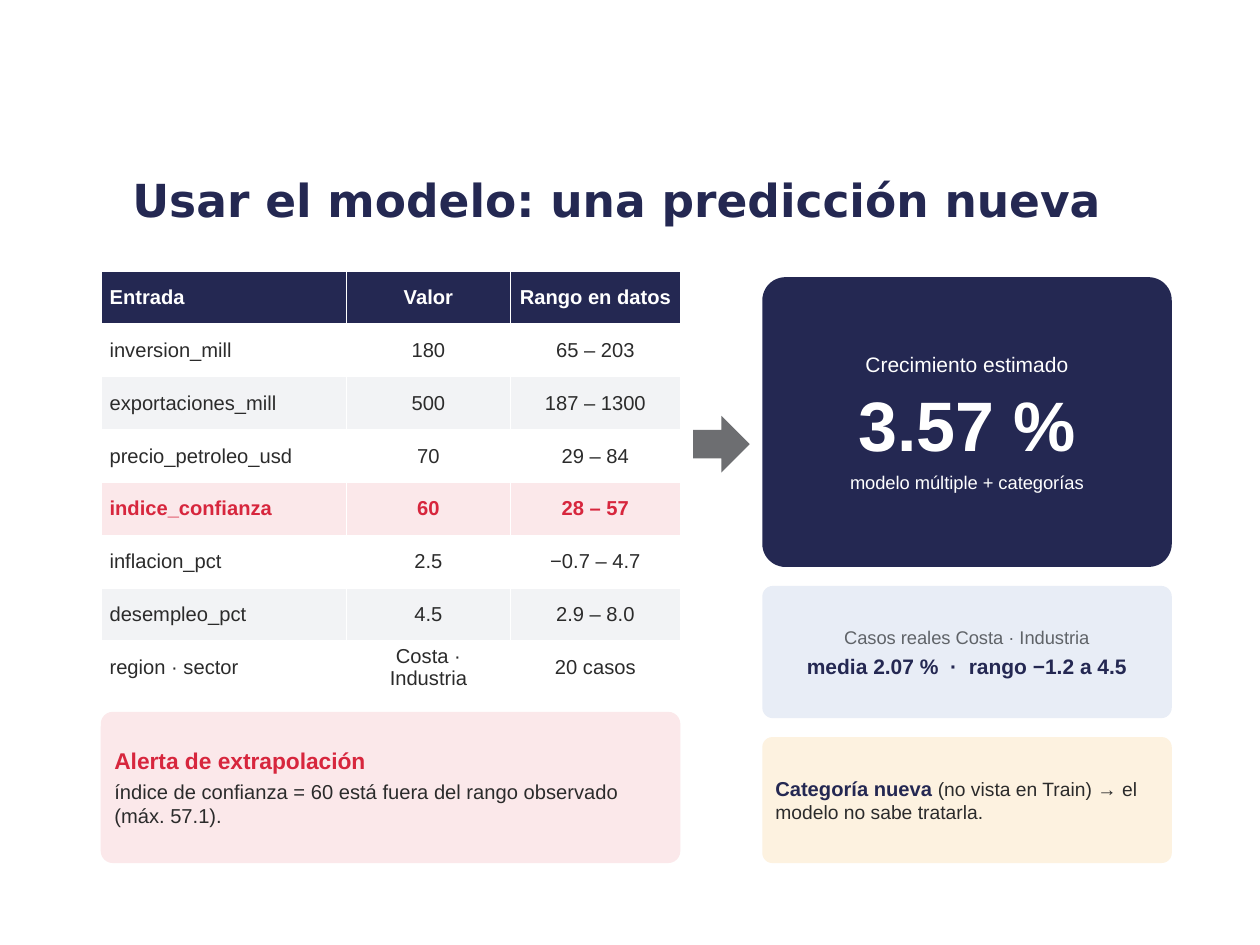
from pptx import Presentation
from pptx.dml.color import RGBColor
from pptx.enum.shapes import MSO_SHAPE
from pptx.enum.text import MSO_ANCHOR, PP_ALIGN
from pptx.util import Inches, Pt

ROUNDED = MSO_SHAPE.ROUNDED_RECTANGLE
RIGHT_ARROW = MSO_SHAPE.RIGHT_ARROW
MIDDLE = MSO_ANCHOR.MIDDLE
LEFT, CENTER = PP_ALIGN.LEFT, PP_ALIGN.CENTER

BODY_FONT = "Arial"
TITLE_FONT = "DejaVu Sans"
COLORS = {
    "navy": "242852", "white": "FFFFFF", "ink": "2B2B2B", "stripe": "F2F3F5",
    "red": "D7263D", "pink": "FBE8EA", "arrow": "6D6E71",
    "blue": "E8EDF6", "gray": "5F6368", "cream": "FDF2E0",
}

HEADER = ("Entrada", "Valor", "Rango en datos")
INPUTS = [
    ("inversion_mill", "180", "65 – 203"),
    ("exportaciones_mill", "500", "187 – 1300"),
    ("precio_petroleo_usd", "70", "29 – 84"),
    ("indice_confianza", "60", "28 – 57"),
    ("inflacion_pct", "2.5", "−0.7 – 4.7"),
    ("desempleo_pct", "4.5", "2.9 – 8.0"),
    ("region · sector", "Costa · Industria", "20 casos"),
]
OUT_OF_RANGE = "indice_confianza"
COLUMN_WIDTHS = (1.95, 1.3, 1.35)
ROW_HEIGHT = 0.42


def color(name):
    return RGBColor.from_string(COLORS[name])


def inches(box):
    return [Inches(length) for length in box]


def style_run(run, size, color_name, bold=False, font=BODY_FONT):
    run.font.name = font
    run.font.size = Pt(size)
    run.font.bold = bold
    run.font.color.rgb = color(color_name)


def set_margins(target, horizontal, vertical):
    target.margin_left = target.margin_right = Inches(horizontal)
    target.margin_top = target.margin_bottom = Inches(vertical)


def add_filled_shape(slide, kind, box, fill):
    shape = slide.shapes.add_shape(kind, *inches(box))
    shape.shadow.inherit = False
    shape.fill.solid()
    shape.fill.fore_color.rgb = color(fill)
    shape.line.fill.background()
    return shape


def place_title(slide, box, text):
    title = slide.shapes.title
    title.left, title.top, title.width, title.height = inches(box)
    text_frame = title.text_frame
    text_frame.text = text
    text_frame.vertical_anchor = MIDDLE
    paragraph = text_frame.paragraphs[0]
    paragraph.alignment = CENTER
    style_run(paragraph.runs[0], 26, "navy", True, TITLE_FONT)


def row_style(index, name):
    """Return fill, text colour and weight of a table row."""
    if index == 0:
        return "navy", "white", True
    if name == OUT_OF_RANGE:
        return "pink", "red", True
    return ("white" if index % 2 else "stripe"), "ink", False


def add_input_table(slide, box):
    rows = [HEADER, *INPUTS]
    frame = slide.shapes.add_table(len(rows), len(HEADER), *inches(box))
    table = frame.table
    table.horz_banding = False
    for column, width in zip(table.columns, COLUMN_WIDTHS):
        column.width = Inches(width)
    for row_index, values in enumerate(rows):
        table.rows[row_index].height = Inches(ROW_HEIGHT)
        fill, text_color, bold = row_style(row_index, values[0])
        for column_index, value in enumerate(values):
            cell = table.cell(row_index, column_index)
            cell.fill.solid()
            cell.fill.fore_color.rgb = color(fill)
            cell.vertical_anchor = MIDDLE
            set_margins(cell, 0.07, 0.03)
            cell.text_frame.text = value
            paragraph = cell.text_frame.paragraphs[0]
            paragraph.alignment = CENTER if column_index else LEFT
            style_run(paragraph.runs[0], 11.5, text_color, bold)


def add_card(slide, box, fill, alignment, lines):
    """Each line is a list of runs: text, size, colour, bold."""
    card = add_filled_shape(slide, ROUNDED, box, fill)
    card.adjustments[0] = 0.08
    text_frame = card.text_frame
    text_frame.word_wrap = True
    text_frame.vertical_anchor = MIDDLE
    set_margins(text_frame, 0.08, 0.08)
    for index, line in enumerate(lines):
        paragraph = text_frame.add_paragraph() if index else text_frame.paragraphs[0]
        paragraph.alignment = alignment
        paragraph.space_after = Pt(3)
        for text, *style in line:
            run = paragraph.add_run()
            run.text = text
            style_run(run, *style)


def main():
    presentation = Presentation()
    presentation.slide_width = Inches(10)
    presentation.slide_height = Inches(7.5)
    slide = presentation.slides.add_slide(presentation.slide_layouts[5])

    place_title(slide, (0.75, 1.18, 8.3, 0.8), "Usar el modelo: una predicción nueva")

    # Inputs and the arrow to the result
    add_input_table(slide, (0.8, 2.15, sum(COLUMN_WIDTHS), ROW_HEIGHT * (len(INPUTS) + 1)))
    add_filled_shape(slide, RIGHT_ARROW, (5.5, 3.3, 0.45, 0.45), "arrow")

    # Prediction
    add_card(slide, (6.05, 2.2, 3.25, 2.3), "navy", CENTER, [
        [("Crecimiento estimado", 12, "white")],
        [("3.57 %", 40, "white", True)],
        [("modelo múltiple + categorías", 10.5, "white")],
    ])

    # Comparison with real cases
    add_card(slide, (6.05, 4.65, 3.25, 1.05), "blue", CENTER, [
        [("Casos reales Costa · Industria", 10.5, "gray")],
        [("media 2.07 %  ·  rango −1.2 a 4.5", 12, "navy", True)],
    ])

    # Warnings
    add_card(slide, (0.8, 5.65, 4.6, 1.2), "pink", LEFT, [
        [("Alerta de extrapolación", 13, "red", True)],
        [("índice de confianza = 60 está fuera del rango observado (máx. 57.1).", 11.5, "ink")],
    ])
    add_card(slide, (6.05, 5.85, 3.25, 1), "cream", LEFT, [
        [("Categoría nueva ", 11.5, "navy", True),
         ("(no vista en Train) → el modelo no sabe tratarla.", 11, "ink")],
    ])

    presentation.save("out.pptx")


if __name__ == "__main__":
    main()
